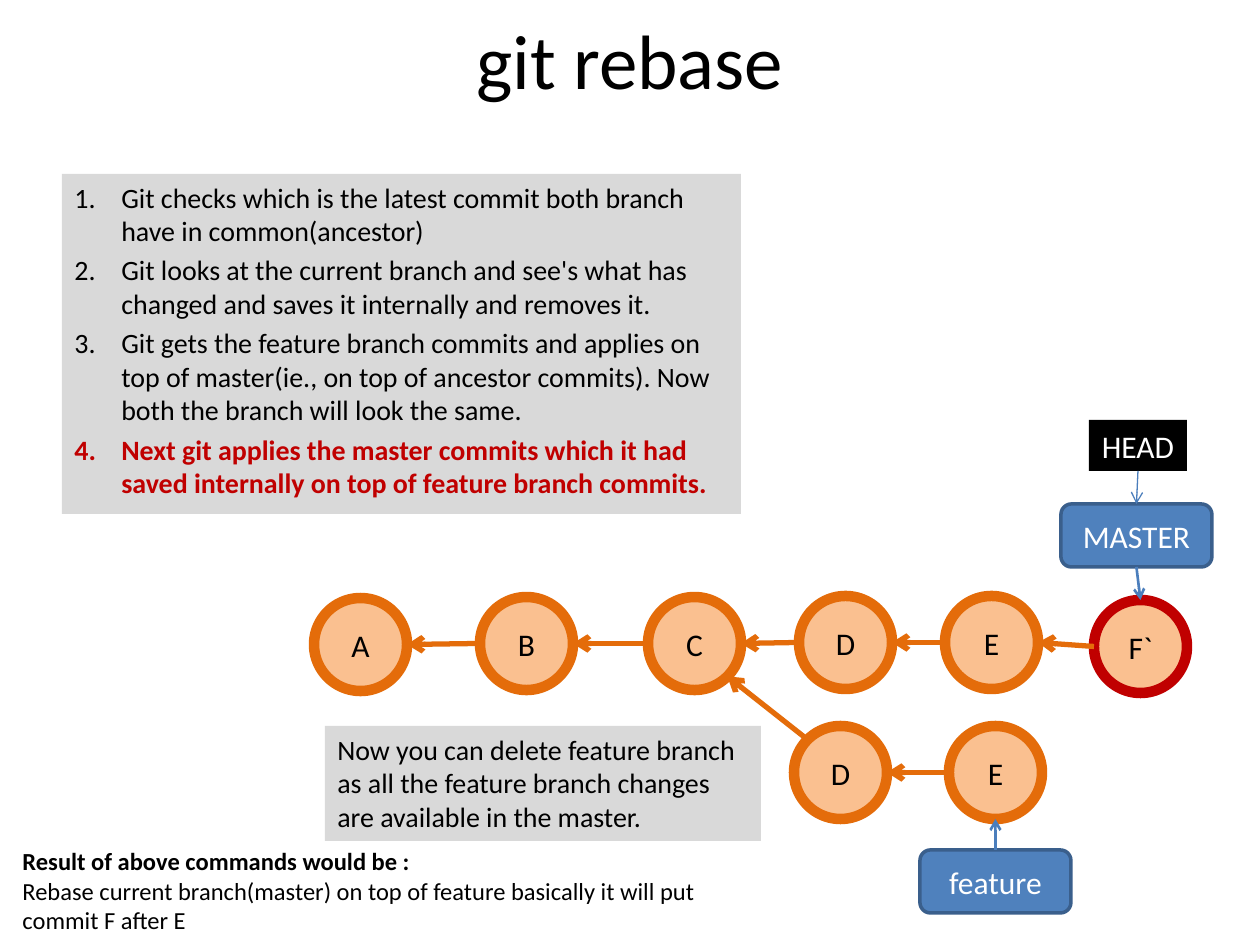
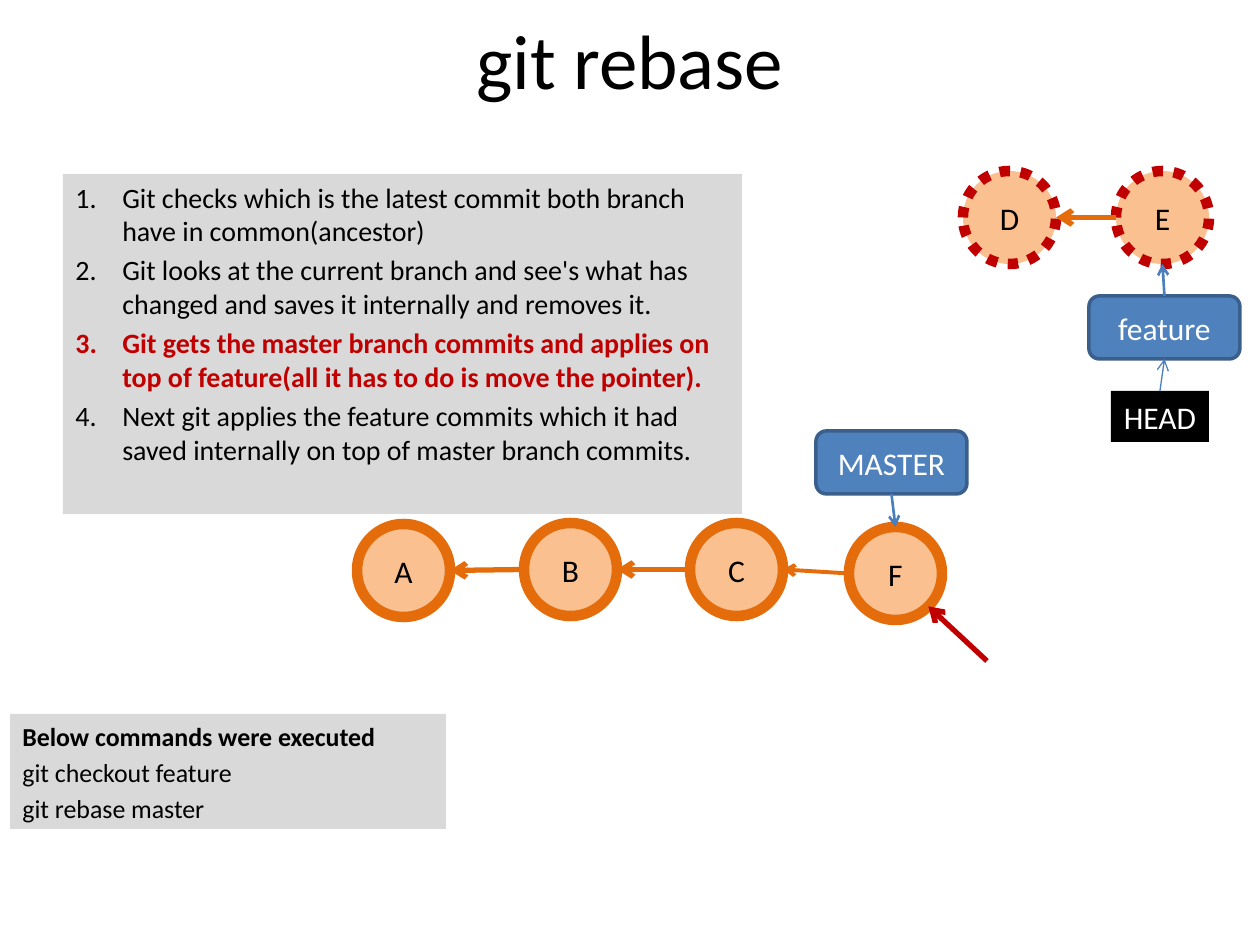
import math

import pptx
import pptx.dml.color
import pptx.enum.dml
import pptx.enum.shapes
import pptx.enum.text
import pptx.oxml
import pptx.util
from lxml import etree
from pptx.oxml import ns

SHAPE = pptx.enum.shapes.MSO_SHAPE
ALIGN = pptx.enum.text.PP_ALIGN
MIDDLE = pptx.enum.text.MSO_ANCHOR.MIDDLE

PX = 914400 // 126
FONT = "Calibri"
BLACK, WHITE, GREY = "000000", "FFFFFF", "D9D9D9"
PEACH, ORANGE, RED = "FAC090", "E46C0A", "C00000"
BLUE, BLUE_EDGE, BLUE_ARROW = "4F81BD", "3A5F8C", "4B7EBC"

TITLE = "git rebase"
TITLE_BOX = (63, 0, 1134, 118)
COMMIT_SIZE = 93
BRANCH_SIZE = (151, 63)
HEAD_SIZE = (98, 51)
STEPS_SIZE = (679, 340)
NOTE_SIZE = (436, 115)
STEP_INDENT = 47

COMMON_STEPS = [
    "Git checks which is the latest commit both branch have in common(ancestor)",
    "Git looks at the current branch and see's what has changed and saves it internally and removes it.",
]

# commits: key -> (label, left, top, outline, dotted)
# branches: name -> (left, top)
# arrows: (from, side, to, side, colour, width)
SLIDES = [
    {
        "steps_at": (62, 174),
        "steps": COMMON_STEPS + [
            "Git gets the feature branch commits and applies on top of master(ie., on top of ancestor commits). "
            "Now both the branch will look the same.",
            "Next git applies the master commits which it had saved internally on top of feature branch commits.",
        ],
        "current_step": 4,
        "commits": {
            "A": ("A", 314, 598, ORANGE, False),
            "B": ("B", 480, 597, ORANGE, False),
            "C": ("C", 648, 597, ORANGE, False),
            "D": ("D", 799, 596, ORANGE, False),
            "E": ("E", 945, 596, ORANGE, False),
            "F": ("F`", 1094, 600, RED, False),
            "feature D": ("D", 794, 726, ORANGE, False),
            "feature E": ("E", 949, 726, ORANGE, False),
        },
        "branches": {"MASTER": (1061, 504), "feature": (920, 850)},
        "head_at": (1089, 420),
        "arrows": [
            ("B", "left", "A", "right", ORANGE, 3),
            ("C", "left", "B", "right", ORANGE, 3),
            ("D", "left", "C", "right", ORANGE, 3),
            ("E", "left", "D", "right", ORANGE, 3),
            ("F", "left", "E", "right", ORANGE, 3),
            ("feature D", "top left", "C", "bottom right", ORANGE, 3),
            ("feature E", "left", "feature D", "right", ORANGE, 3),
            ("HEAD", "bottom", "MASTER", "top", BLUE_ARROW, 0.75),
            ("MASTER", "bottom", "F", "top", BLUE_ARROW, 1.5),
            ("feature", "top", "feature E", "bottom", BLUE_ARROW, 1.5),
        ],
        "note_at": (325, 726),
        "note_size": 16,
        "note": [("Now you can delete feature branch as all the feature branch changes "
                  "are available in the master.", False)],
        "result": [
            ("Result of above commands would be :", True),
            ("Rebase current branch(master) on top of feature basically it will put commit F after E", False),
        ],
    },
    {
        "steps_at": (63, 174),
        "steps": COMMON_STEPS + [
            "Git gets the master branch commits and applies on top of feature(all it has to do is move the pointer).",
            "Next git applies the feature commits which it had saved internally on top of master branch commits.",
        ],
        "current_step": 3,
        "commits": {
            "A": ("A", 357, 524, ORANGE, False),
            "B": ("B", 524, 523, ORANGE, False),
            "C": ("C", 690, 523, ORANGE, False),
            "F": ("F", 849, 527, ORANGE, False),
            "feature D": ("D", 963, 171, RED, True),
            "feature E": ("E", 1116, 171, RED, True),
        },
        "branches": {"MASTER": (816, 431), "feature": (1089, 296)},
        "head_at": (1111, 391),
        "arrows": [
            ("B", "left", "A", "right", ORANGE, 3),
            ("C", "left", "B", "right", ORANGE, 3),
            ("F", "left", "C", "right", ORANGE, 2.25),
            ("feature E", "left", "feature D", "right", ORANGE, 3),
            ("MASTER", "bottom", "F", "top", BLUE_ARROW, 1.5),
            ("HEAD", "top", "feature", "bottom", BLUE_ARROW, 0.75),
            ("feature", "top", "feature E", "bottom", BLUE_ARROW, 1.5),
        ],
        "next_commit": ((987, 661), "F", "bottom right"),
        "note_at": (10, 714),
        "note_size": 14.8,
        "note": [("Below commands were executed", True),
                 ("git checkout feature", False),
                 ("git rebase master", False)],
    },
]
RESULT_BOX = (10, 840, 762, 102)

SIDES = {"top": (0, -1), "left": (-1, 0), "bottom": (0, 1), "right": (1, 0),
         "top left": (-1, -1), "bottom right": (1, 1)}
RECT_SITES = {"top": 0, "left": 1, "bottom": 2, "right": 3}


def rgb(value):
    return pptx.dml.color.RGBColor.from_string(value)


def emu(*lengths):
    return [int(n * PX) for n in lengths]


def add_box(slide, kind, box, fill, edge=None, width=0):
    sp = slide.shapes.add_shape(kind, *emu(*box))
    sp.shadow.inherit = False
    sp.fill.solid()
    sp.fill.fore_color.rgb = rgb(fill)
    if edge:
        sp.line.color.rgb = rgb(edge)
        sp.line.width = pptx.util.Pt(width)
    else:
        sp.line.fill.background()
    return sp


def write(sp, lines, size, align=ALIGN.LEFT, anchor=pptx.enum.text.MSO_ANCHOR.TOP,
          gap=0, numbered=False, wrap=True):
    """Fill a shape with paragraphs given as (text, bold, colour)."""
    tf = sp.text_frame
    tf.word_wrap = wrap
    tf.vertical_anchor = anchor
    for i, (text, bold, color) in enumerate(lines):
        p = tf.add_paragraph() if i else tf.paragraphs[0]
        p.alignment = align
        if i and gap:
            p.space_before = pptx.util.Pt(gap)
        if numbered:
            pPr = p._p.get_or_add_pPr()
            pPr.set("marL", str(STEP_INDENT * PX))
            pPr.set("indent", str(-STEP_INDENT * PX))
            etree.SubElement(pPr, ns.qn("a:buFont"), typeface="+mj-lt")
            etree.SubElement(pPr, ns.qn("a:buAutoNum"), type="arabicPeriod")
        r = p.add_run()
        r.text = text
        r.font.name = FONT
        r.font.size = pptx.util.Pt(size)
        r.font.bold = bold
        r.font.color.rgb = rgb(color)


def add_label(slide, kind, box, text, size, color, fill, edge=None, width=0):
    sp = add_box(slide, kind, box, fill, edge, width)
    write(sp, [(text, False, color)], size, ALIGN.CENTER, MIDDLE, wrap=False)
    return sp


def add_text(slide, box, lines, size, **style):
    write(slide.shapes.add_textbox(*emu(*box)), lines, size, **style)


def site(sp, side):
    """Point where an arrow meets the outline of a node."""
    dx, dy = SIDES[side]
    reach = 1 / math.hypot(dx, dy)
    return (int(sp.left + sp.width / 2 * (1 + dx * reach)),
            int(sp.top + sp.height / 2 * (1 + dy * reach)))


def add_arrow(slide, start, end, color, width):
    cx = slide.shapes.add_connector(pptx.enum.shapes.MSO_CONNECTOR.STRAIGHT, *start, *end)
    cx.line.color.rgb = rgb(color)
    cx.line.width = pptx.util.Pt(width)
    etree.SubElement(cx.line._get_or_add_ln(), ns.qn("a:tailEnd"), type="arrow")
    etree.SubElement(cx._element.spPr, ns.qn("a:effectLst"))
    return cx


def join_nodes(slide, nodes, source, source_side, target, target_side, color, width):
    a, b = nodes[source], nodes[target]
    cx = add_arrow(slide, site(a, source_side), site(b, target_side), color, width)
    if a.auto_shape_type != SHAPE.OVAL:
        cx.begin_connect(a, RECT_SITES[source_side])
    if b.auto_shape_type != SHAPE.OVAL:
        cx.end_connect(b, RECT_SITES[target_side])


def add_graph(slide, data):
    nodes = {}
    for key, (label, x, y, edge, dotted) in data["commits"].items():
        sp = add_label(slide, SHAPE.OVAL, (x, y, COMMIT_SIZE, COMMIT_SIZE),
                       label, 18, BLACK, PEACH, edge, 6)
        if dotted:
            sp.line.dash_style = pptx.enum.dml.MSO_LINE.ROUND_DOT
            sp.line._ln.find(ns.qn("a:prstDash")).set("val", "sysDot")
        nodes[key] = sp
    for name, at in data["branches"].items():
        nodes[name] = add_label(slide, SHAPE.ROUNDED_RECTANGLE, at + BRANCH_SIZE,
                                name, 18, WHITE, BLUE, BLUE_EDGE, 2)
    nodes["HEAD"] = add_label(slide, SHAPE.RECTANGLE, data["head_at"] + HEAD_SIZE,
                              "HEAD", 18, WHITE, BLACK)
    for arrow in data["arrows"]:
        join_nodes(slide, nodes, *arrow)
    if "next_commit" in data:
        start, target, side = data["next_commit"]
        add_arrow(slide, emu(*start), site(nodes[target], side), RED, 3)


def add_slide(prs, data):
    slide = prs.slides.add_slide(prs.slide_layouts[6])
    add_text(slide, TITLE_BOX, [(TITLE, False, BLACK)], 44, align=ALIGN.CENTER, anchor=MIDDLE)

    steps = [(text, n == data["current_step"], RED if n == data["current_step"] else BLACK)
             for n, text in enumerate(data["steps"], 1)]
    panel = add_box(slide, SHAPE.RECTANGLE, data["steps_at"] + STEPS_SIZE, GREY)
    write(panel, steps, 16, gap=3.2, numbered=True)

    add_graph(slide, data)

    note = add_box(slide, SHAPE.RECTANGLE, data["note_at"] + NOTE_SIZE, GREY)
    write(note, [line + (BLACK,) for line in data["note"]], data["note_size"], gap=3)
    if "result" in data:
        add_text(slide, RESULT_BOX, [line + (BLACK,) for line in data["result"]], 14)


def main():
    prs = pptx.Presentation()
    prs.slide_width, prs.slide_height = emu(1260, 945)
    for data in SLIDES:
        add_slide(prs, data)
    prs.save("out.pptx")


if __name__ == "__main__":
    main()
